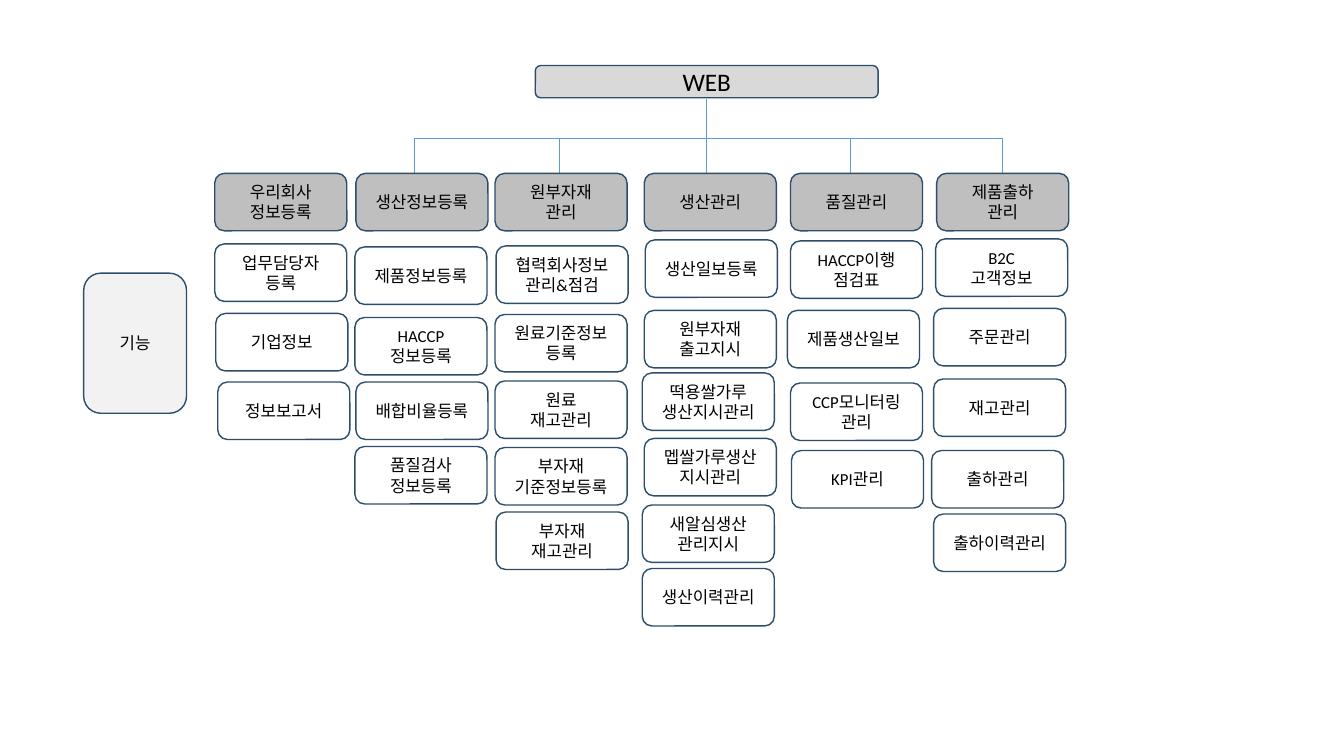
import pptx
import pptx.util
import pptx.dml.color
import pptx.enum.shapes
import pptx.enum.text
import pptx.oxml.ns
import lxml.etree

HUE = {"web": "D9D9D9", "head": "BFBFBF", "side": "F2F2F2", "item": "FFFFFF",
       "edge": "2D4D6A", "wire": "5B9BD5", "text": "000000"}
COLS, ROWS = 1333, 750  # fine grid over the slide
CELL = pptx.util.Inches(0.01)
WIDE, HIGH, TOP = 131, 57, 172  # menu box size, top of the header row

deck = pptx.Presentation()
deck.slide_width, deck.slide_height = COLS * CELL, ROWS * CELL
slide = deck.slides.add_slide(deck.slide_layouts[6])


def paint(form, hue):
    form.rgb = pptx.dml.color.RGBColor.from_string(HUE[hue])


def box(text, x, y, wide, high, hue, size=12):
    kind = pptx.enum.shapes.MSO_SHAPE.ROUNDED_RECTANGLE
    shape = slide.shapes.add_shape(kind, *(n * CELL for n in (x, y, wide, high)))
    shape.shadow.inherit = False
    shape.fill.solid()
    paint(shape.fill.fore_color, hue)
    paint(shape.line.color, "edge")
    shape.line.width = pptx.util.Pt(1)
    frame = shape.text_frame
    frame.text = text
    frame.word_wrap = True
    frame.vertical_anchor = pptx.enum.text.MSO_ANCHOR.MIDDLE
    look = {"name": "Calibri", "size": pptx.util.Pt(size)}
    for para in frame.paragraphs:
        para.alignment = pptx.enum.text.PP_ALIGN.CENTER
        for run in para.runs:
            for key, value in look.items():
                setattr(run.font, key, value)
            paint(run.font.color, "text")


# Tree lines: trunk, crossbar, then drops to the headers
BAR, TRUNK = 137, 701
DROPS = [411, 555, 843, 994]
wires = [(TRUNK, 98, TRUNK, TOP), (DROPS[0], BAR, DROPS[-1], BAR)]
wires += [(x, BAR, x, TOP) for x in DROPS]
for ends in wires:
    wire = slide.shapes.add_connector(
        pptx.enum.shapes.MSO_CONNECTOR.STRAIGHT, *(n * CELL for n in ends))
    paint(wire.line.color, "wire")
    wire.line.width = pptx.util.Pt(0.5)
    lxml.etree.SubElement(wire._element.spPr, pptx.oxml.ns.qn("a:effectLst"))

# Root and side label
box("WEB", 531, 65, 340, 32, "web", 18)
box("기능", 83, 271, 102, 139, "side")

# Menus: header, left edge, then items as (text, shift from the edge, top)
menus = [
    ("우리회사\n정보등록", 213, [
        ("업무담당자\n등록", 0, 242), ("기업정보", 1, 311), ("정보보고서", 3, 379)]),
    ("생산정보등록", 353, [
        ("제품정보등록", -1, 245), ("HACCP\n정보등록", -1, 315),
        ("배합비율등록", 0, 379), ("품질검사\n정보등록", -1, 443)]),
    ("원부자재\n관리", 491, [
        ("협력회사정보\n관리&점검", 1, 244), ("원료기준정보\n등록", 0, 312),
        ("원료\n재고관리", 0, 378), ("부자재\n기준정보등록", 0, 444),
        ("부자재\n재고관리", 1, 508)]),
    ("생산관리", 639, [
        ("생산일보등록", 1, 238), ("원부자재\n출고지시", 0, 308),
        ("떡용쌀가루\n생산지시관리", -2, 370), ("멥쌀가루생산\n지시관리", 0, 435),
        ("새알심생산\n관리지시", -2, 501), ("생산이력관리", -2, 564)]),
    ("품질관리", 784, [
        ("HACCP이행\n점검표", 0, 239), ("제품생산일보", -3, 308),
        ("CCP모니터링\n관리", 0, 380), ("KPI관리", 1, 447)]),
    ("제품출하\n관리", 929, [
        ("B2C\n고객정보", -1, 237), ("주문관리", -3, 306), ("재고관리", -3, 376),
        ("출하관리", -5, 447), ("출하이력관리", -3, 510)]),
]
for head, left, items in menus:
    box(head, left, TOP, WIDE, HIGH, "head")
    for text, shift, y in items:
        box(text, left + shift, y, WIDE, HIGH, "item")

deck.save("out.pptx")
